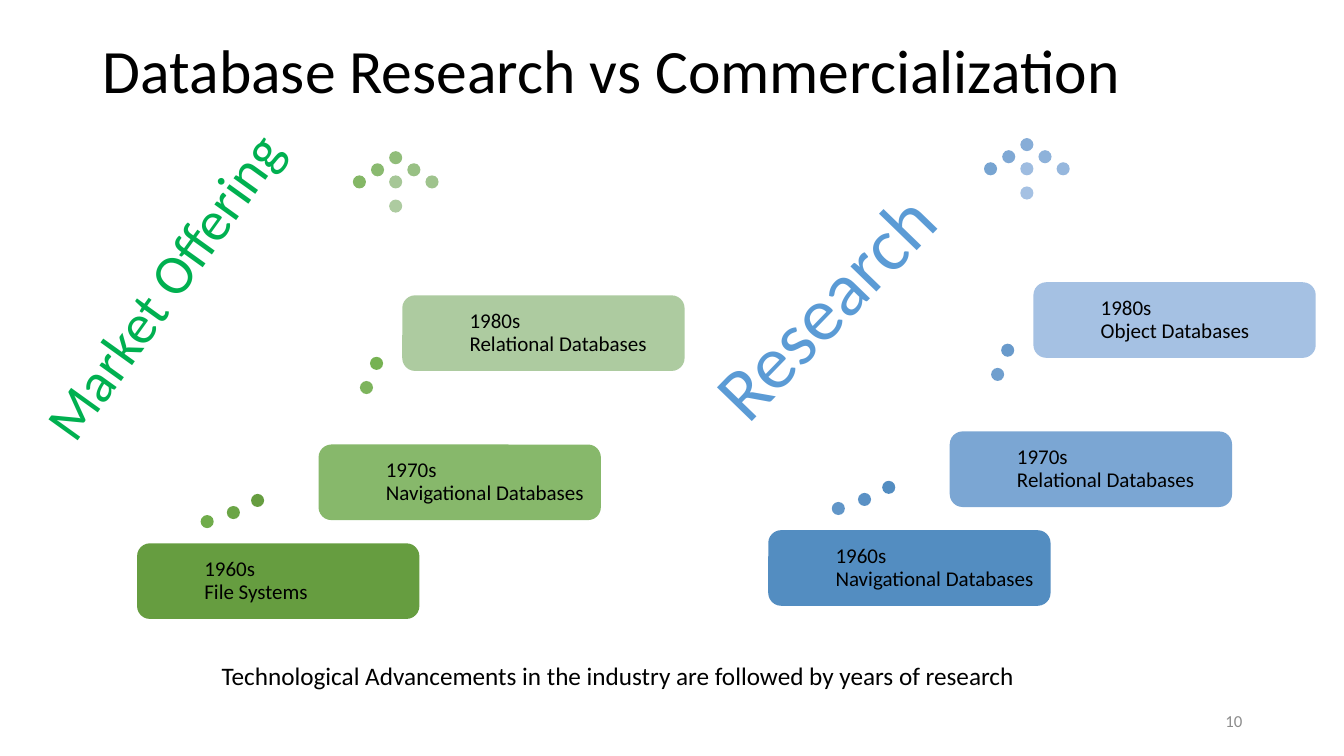
import pptx
import pptx.util
import pptx.dml.color
import pptx.enum.shapes
import pptx.enum.text

Inches = pptx.util.Inches
Shapes = pptx.enum.shapes.MSO_SHAPE
Align = pptx.enum.text.PP_ALIGN
Anchor = pptx.enum.text.MSO_ANCHOR

COLORS = {
    "text": "000000",
    "number": "8C8C8C",
    "market": "00B050",
    "research": "5B9BD5",
    "market_steps": ["669D40", "87B86B", "ADCBA0"],
    "research_steps": ["538DC1", "7BA6D3", "A5C1E3"],
    "market_dots": ["669D40", "6BA546", "70AC4B", "76B252", "7DB45C", "84B766",
                    "8ABA70", "91BD7A", "98C084", "9FC38D", "A6C797", "ADCBA0"],
    "research_dots": ["538DC1", "5A91C5", "6196C8", "699ACB", "709FCE", "77A4D1",
                      "7FA8D4", "87ADD7", "8EB2DA", "96B7DD", "9EBCE0", "A5C1E3"],
}

# Places within a staircase, from the bottom step to the arrow at the top
STEP_PLACES = [(1.36, 5.39), (3.16, 4.41), (3.99, 2.93)]
TRAIL = [(2.49, 4.9), (2.25, 5.02), (1.99, 5.11), (3.67, 3.54), (3.57, 3.78)]
TIP_X, TIP_Y = 3.86, 1.5
ARROW_HEAD = [(TIP_X + 0.18 * i, TIP_Y + 0.12 * abs(i)) for i in range(-2, 3)]
ARROW_STEM = [(TIP_X, TIP_Y + 0.24 * i) for i in (1, 2)]
DOT_PLACES = TRAIL + ARROW_HEAD + ARROW_STEM


class SlideBuilder:
    font = "Calibri"

    def __init__(self, presentation):
        self.slide = presentation.slides.add_slide(presentation.slide_layouts[5])

    def set_text(self, shape, text, size, color, align=Align.LEFT, anchor=Anchor.TOP,
                 wrap=True, spacing=1.0):
        frame = shape.text_frame
        frame.word_wrap = wrap
        frame.auto_size = pptx.enum.text.MSO_AUTO_SIZE.NONE
        frame.vertical_anchor = anchor
        paragraph = frame.paragraphs[0]
        paragraph.text = text
        paragraph.alignment = align
        paragraph.line_spacing = spacing
        for run in paragraph.runs:
            run.font.name = self.font
            run.font.size = pptx.util.Pt(size)
            run.font.color.rgb = pptx.dml.color.RGBColor.from_string(color)

    def title(self, text):
        shape = self.slide.shapes.title
        shape.left, shape.top = Inches(0.92), Inches(0)
        shape.width, shape.height = Inches(11.5), Inches(1.45)
        self.set_text(shape, text, 44, COLORS["text"], anchor=Anchor.MIDDLE, spacing=0.9)

    def label(self, box, text, size, color, rotation=0, **style):
        shape = self.slide.shapes.add_textbox(*map(Inches, box))
        shape.rotation = rotation
        self.set_text(shape, text, size, color, **style)

    def filled(self, kind, box, color):
        shape = self.slide.shapes.add_shape(kind, *map(Inches, box))
        shape.shadow.inherit = False
        shape.fill.solid()
        shape.fill.fore_color.rgb = pptx.dml.color.RGBColor.from_string(color)
        shape.line.fill.background()
        return shape

    def step(self, x, y, text, color):
        shape = self.filled(Shapes.ROUNDED_RECTANGLE, (x, y, 2.8, 0.75), color)
        shape.adjustments[0] = 0.17
        shape.text_frame.margin_left = Inches(0.63)
        shape.text_frame.margin_right = Inches(0.1)
        self.set_text(shape, text, 15, COLORS["text"], anchor=Anchor.MIDDLE, spacing=0.9)

    def staircase(self, dx, dy, name, systems):
        for (x, y), color in zip(DOT_PLACES, COLORS[name + "_dots"]):
            self.filled(Shapes.OVAL, (x + dx, y + dy, 0.13, 0.13), color)
        decades = ["1960s", "1970s", "1980s"]
        for (x, y), decade, system, color in zip(
                STEP_PLACES, decades, systems, COLORS[name + "_steps"]):
            self.step(x + dx, y + dy, f"{decade}\v{system}", color)


def main():
    presentation = pptx.Presentation()
    presentation.slide_width = Inches(13.33)
    presentation.slide_height = Inches(7.5)
    builder = SlideBuilder(presentation)
    builder.title("Database Research vs Commercialization")

    # Two staircases of decades
    builder.staircase(0, 0, "market", [
        "File Systems", "Navigational Databases", "Relational Databases"])
    builder.staircase(6.26, -0.13, "research", [
        "Navigational Databases", "Relational Databases", "Object Databases"])

    # Slanted headings
    builder.label((-0.36, 2.35, 4.32, 1.23), "Market Offering", 40, COLORS["market"],
                  rotation=305.6, align=Align.CENTER, wrap=False)
    builder.label((6.67, 2.52, 2.99, 1.01), "Research", 54, COLORS["research"],
                  rotation=314, align=Align.CENTER, wrap=False)

    # Conclusion and slide number
    builder.label((2.1, 6.5, 8.15, 0.4),
                  "Technological Advancements in the industry are followed by years of research",
                  18, COLORS["text"])
    builder.label((9.42, 6.95, 3, 0.4), "10", 12, COLORS["number"],
                  align=Align.RIGHT, anchor=Anchor.MIDDLE)

    presentation.save("out.pptx")


if __name__ == "__main__":
    main()
